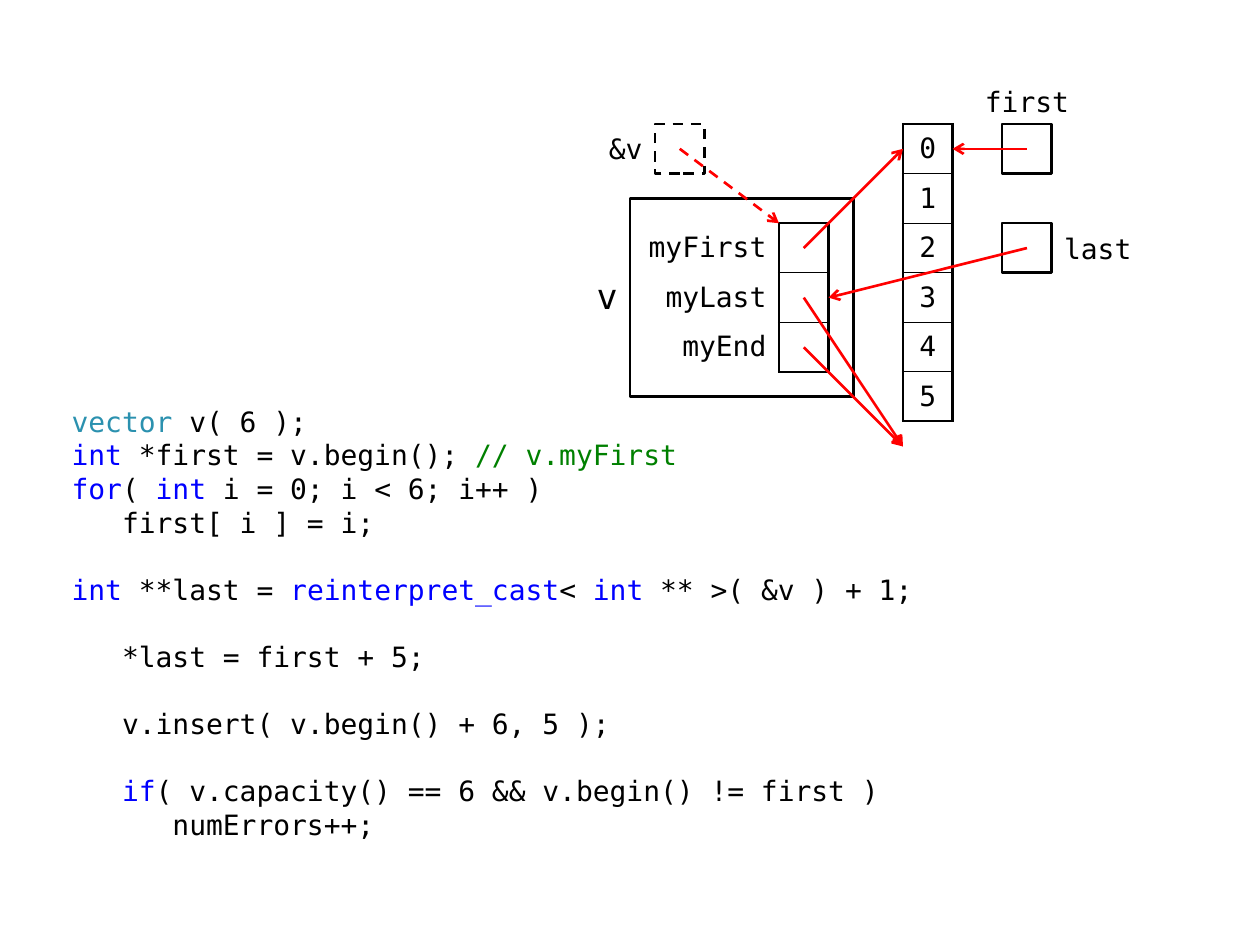
from lxml.etree import SubElement
from pptx import Presentation
from pptx.dml.color import RGBColor
from pptx.enum.dml import MSO_LINE
from pptx.enum.shapes import MSO_CONNECTOR, MSO_SHAPE
from pptx.enum.text import MSO_ANCHOR, PP_ALIGN
from pptx.oxml import parse_xml
from pptx.oxml.ns import nsdecls, qn
from pptx.util import Inches, Pt

FONT = "DejaVu Sans Mono"
BLACK = RGBColor(0, 0, 0)
WHITE = RGBColor(255, 255, 255)
RED = RGBColor(255, 0, 0)
KEYWORD = RGBColor(0, 0, 255)
TYPE = RGBColor(0x2B, 0x91, 0xAF)
COMMENT = RGBColor(0, 0x80, 0)

LINE_PITCH = 19.2
THICK, THIN = 1.5, 0.75

# Each block is a list of lines, each line a list of (text, colour) runs.
CODE_BLOCKS = [
    [
        [("vector ", TYPE), ("v( 6 );", BLACK)],
        [("int ", KEYWORD), ("*first = v.begin();", BLACK), (" // v.myFirst", COMMENT)],
        [("for", KEYWORD), ("( ", BLACK), ("int", KEYWORD), (" i = 0; i < 6; i++ )", BLACK)],
        [("   first[ i ] = i;", BLACK)],
    ],
    [[("int ", KEYWORD), ("**last = ", BLACK), ("reinterpret_cast", KEYWORD),
      ("< ", BLACK), ("int", KEYWORD), (" ** >( &v ) + 1;", BLACK)]],
    [[("   *last = first + 5;", BLACK)]],
    [[("   v.insert( v.begin() + 6, 5 );", BLACK)]],
    [
        [("   ", BLACK), ("if", KEYWORD),
         ("( v.capacity() == 6 && v.begin() != first )", BLACK)],
        [("      numErrors++;", BLACK)],
    ],
]

# The diagram lies on a 1 cm grid; positions below are grid units.
MEMBERS = ["myFirst", "myLast", "myEnd"]
ELEMENTS = ["0", "1", "2", "3", "4", "5"]
# left, top, width, height, fill, dashed
BOXES = [
    (12.5, 4, 4.5, 4, WHITE, False),
    (20, 2.5, 1, 1, None, False),
    (13, 2.5, 1, 1, None, True),
    (20, 4.5, 1, 1, None, False),
]
# text, left, top, width, size, alignment, anchor
LABELS = [
    ("first", 19, 1.5, 3, 16, PP_ALIGN.CENTER, MSO_ANCHOR.BOTTOM),
    ("v", 11.5, 5.5, 1, 20, PP_ALIGN.RIGHT, MSO_ANCHOR.BOTTOM),
    ("&v", 11.5, 2.5, 1.5, 16, PP_ALIGN.RIGHT, MSO_ANCHOR.MIDDLE),
    ("last", 21, 4.5, 2, 16, PP_ALIGN.LEFT, MSO_ANCHOR.MIDDLE),
]
# from, to, dashed
ARROWS = [
    ((16, 5), (18, 3), False),
    ((16, 7), (18, 9), False),
    ((16, 6), (18, 9), False),
    ((20.5, 3), (19, 3), False),
    ((13.5, 3), (15.5, 4.5), True),
    ((20.5, 5), (16.5, 6), False),
]


def size(units):
    return Inches(units / 2.54)


def across(units):
    return Inches(0.08) + size(units)


def style_run(r, color=BLACK, points=16):
    r.font.name = FONT
    r.font.size = Pt(points)
    r.font.color.rgb = color


def style_line(line, color, dashed):
    line.color.rgb = color
    line.width = Pt(THICK)
    if dashed:
        line.dash_style = MSO_LINE.DASH


def add_code(slide):
    tf = slide.shapes.add_textbox(Inches(0.47), Inches(3.16), Inches(6.89), Inches(3.74)).text_frame
    tf.word_wrap = True
    p = tf.paragraphs[0]
    for b, block in enumerate(CODE_BLOCKS):
        for n, code_line in enumerate(block):
            if b or n:
                p = tf.add_paragraph()
                p.space_before = Pt(0 if n else LINE_PITCH)
            p.line_spacing = Pt(LINE_PITCH)
            for text, color in code_line:
                r = p.add_run()
                r.text = text
                style_run(r, color)


def add_box(slide, left, top, width, height, fill, dashed):
    sp = slide.shapes.add_shape(MSO_SHAPE.RECTANGLE, across(left), size(top),
                                size(width), size(height))
    sp.shadow.inherit = False
    if fill is None:
        sp.fill.background()
    else:
        sp.fill.solid()
        sp.fill.fore_color.rgb = fill
    style_line(sp.line, BLACK, dashed)


def add_label(slide, text, left, top, width, points, align, anchor):
    tf = slide.shapes.add_textbox(across(left), size(top), size(width), size(1)).text_frame
    tf.word_wrap = True
    tf.vertical_anchor = anchor
    p = tf.paragraphs[0]
    p.text = text
    p.alignment = align
    style_run(p.runs[0], points=points)


def set_borders(cell, widths):
    """Border widths in points for left, right, top, bottom; 0 means none."""
    tcPr = cell._tc.get_or_add_tcPr()
    for i, (side, width) in enumerate(zip("LRTB", widths)):
        paint = f'<a:solidFill><a:srgbClr val="{BLACK}"/></a:solidFill>' if width else "<a:noFill/>"
        tcPr.insert(i, parse_xml(
            f'<a:ln{side} {nsdecls("a")} w="{Pt(width)}">{paint}</a:ln{side}>'))


def add_grid(slide, rows, widths, left, top, align, margins):
    """Table whose last column is boxed; any column before it has no border."""
    table = slide.shapes.add_table(len(rows), len(widths), across(left), size(top),
                                   size(sum(widths)), size(len(rows))).table
    table.first_row = table.horz_banding = False
    for column, width in zip(table.columns, widths):
        column.width = size(width)
    for i, text in enumerate(rows):
        table.rows[i].height = size(1)
        cells = list(table.rows[i].cells)
        for cell in cells:
            cell.fill.background()
            cell.vertical_anchor = MSO_ANCHOR.MIDDLE
            cell.margin_left, cell.margin_top, cell.margin_right, cell.margin_bottom = map(
                Inches, margins)
            if cell is not cells[-1]:
                set_borders(cell, (0, THICK, 0, 0))
        set_borders(cells[-1], (THICK, THICK, THIN if i else THICK,
                                THIN if i < len(rows) - 1 else THICK))
        p = cells[0].text_frame.paragraphs[0]
        p.text = text
        p.alignment = align
        style_run(p.runs[0])


def add_arrow(slide, start, end, dashed):
    (x1, y1), (x2, y2) = start, end
    line = slide.shapes.add_connector(MSO_CONNECTOR.STRAIGHT, across(x1), size(y1),
                                      across(x2), size(y2))
    style_line(line.line, RED, dashed)
    SubElement(line.line._get_or_add_ln(), qn("a:tailEnd"), type="arrow")
    SubElement(line._element.spPr, qn("a:effectLst"))


def main():
    prs = Presentation()
    prs.slide_width, prs.slide_height = Inches(10), Inches(7.5)
    slide = prs.slides.add_slide(prs.slide_layouts[6])
    add_code(slide)
    for box in BOXES:
        add_box(slide, *box)
    add_grid(slide, MEMBERS, (3, 1), 12.5, 4.5, PP_ALIGN.RIGHT, (0.04, 0.04, 0.1, 0.04))
    add_grid(slide, ELEMENTS, (1,), 18, 2.5, PP_ALIGN.CENTER, (0.1, 0, 0.1, 0))
    for label in LABELS:
        add_label(slide, *label)
    for arrow in ARROWS:
        add_arrow(slide, *arrow)
    prs.save("out.pptx")


if __name__ == "__main__":
    main()
